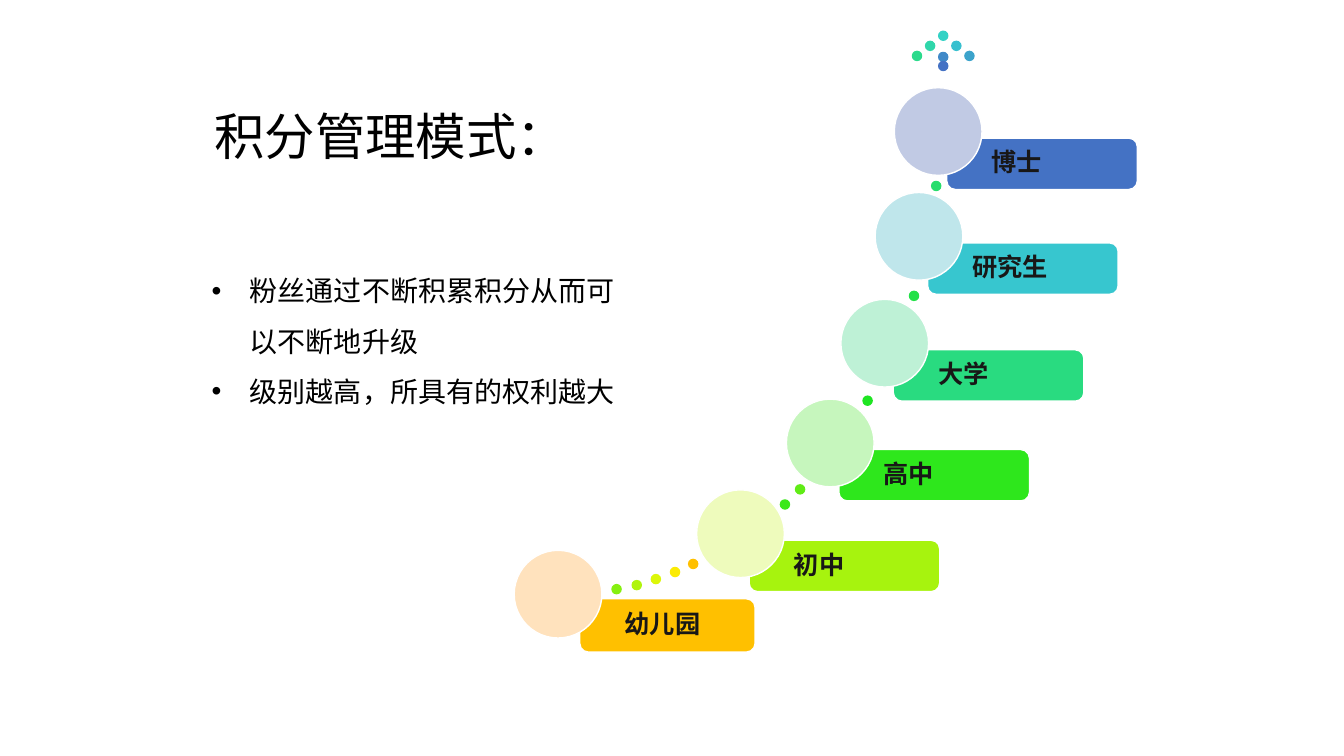
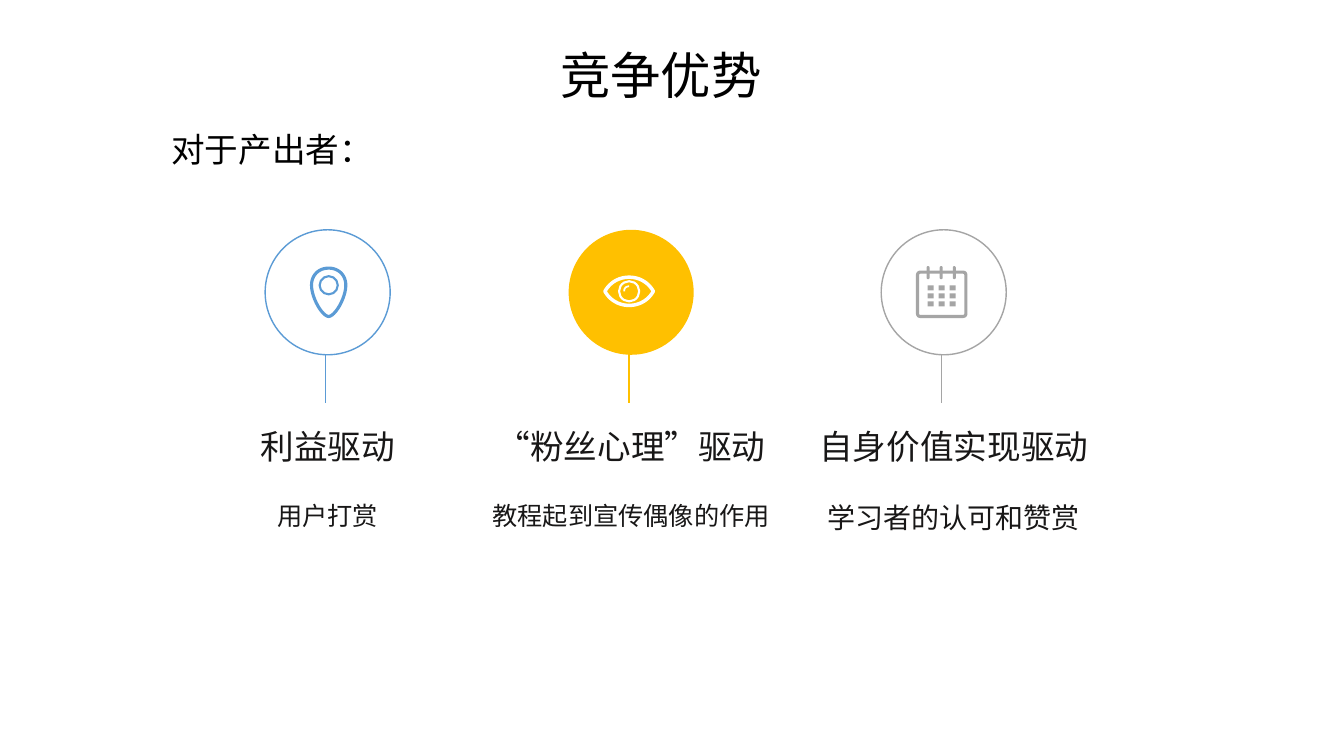
import pptx
import pptx.util
import pptx.dml.color
import pptx.enum.shapes
import pptx.enum.text
import pptx.oxml.ns
import lxml.etree

Inches = pptx.util.Inches
Pt = pptx.util.Pt
RGB = pptx.dml.color.RGBColor
SHAPE = pptx.enum.shapes.MSO_SHAPE
ALIGN = pptx.enum.text.PP_ALIGN
ANCHOR = pptx.enum.text.MSO_ANCHOR
qn = pptx.oxml.ns.qn

BLACK = RGB(0x00, 0x00, 0x00)
WHITE = RGB(0xFF, 0xFF, 0xFF)
INK = RGB(0x18, 0x17, 0x17)
BLUE = RGB(0x5B, 0x9B, 0xD5)
GOLD = RGB(0xFF, 0xC0, 0x00)
GRAY = RGB(0xA5, 0xA5, 0xA5)
CJK = "Noto Sans CJK SC"
LATIN = "Open Sans"


class Deck:
    """Hold the shared style and the current slide, and draw each kind of element."""

    def __init__(self):
        self.prs = pptx.Presentation()
        self.prs.slide_width = Inches(13.33)
        self.prs.slide_height = Inches(7.5)
        self.slide = None

    def new_slide(self):
        self.slide = self.prs.slides.add_slide(self.prs.slide_layouts[6])

    def run(self, paragraph, words, size, color, font=CJK, bold=False):
        run = paragraph.add_run()
        run.text = words
        run.font.size = Pt(size)
        run.font.bold = bold
        run.font.color.rgb = color
        run.font.name = font
        properties = run.font._element
        properties.set("lang", "zh-CN")
        east_asian = lxml.etree.Element(qn("a:ea"), typeface=CJK)
        properties.find(qn("a:latin")).addnext(east_asian)

    def text(self, at, lines, color=BLACK, font=CJK, align=ALIGN.LEFT,
             gap=0, bullets=False, wrap=True):
        frame = self.slide.shapes.add_textbox(*map(Inches, at)).text_frame
        frame.word_wrap = wrap
        for index, (words, size) in enumerate(lines):
            paragraph = frame.add_paragraph() if index else frame.paragraphs[0]
            paragraph.alignment = align
            if index and gap:
                paragraph.space_before = Pt(gap)
            if bullets:
                paragraph.line_spacing = 1.5
                self.bullet(paragraph)
            self.run(paragraph, words, size, color, font)

    def bullet(self, paragraph):
        properties = paragraph._p.get_or_add_pPr()
        properties.set("marL", str(Inches(0.38)))
        properties.set("indent", str(-Inches(0.38)))
        lxml.etree.SubElement(properties, qn("a:buFont"), typeface="Arial")
        lxml.etree.SubElement(properties, qn("a:buChar"), char="•")

    def title(self, at, words):
        self.text(at, [(words, 36)], align=ALIGN.CENTER)

    def paint(self, shape, fill, line, width):
        shape.shadow.inherit = False
        if fill is None:
            shape.fill.background()
        else:
            shape.fill.solid()
            shape.fill.fore_color.rgb = fill
        if line is None:
            shape.line.fill.background()
        else:
            shape.line.color.rgb = line
            shape.line.width = Pt(width)
        return shape

    def shape(self, kind, at, fill=None, line=None, width=1):
        shape = self.slide.shapes.add_shape(kind, *map(Inches, at))
        return self.paint(shape, fill, line, width)

    def bar(self, at, words, fill):
        bar = self.shape(SHAPE.ROUNDED_RECTANGLE, at, fill, WHITE)
        frame = bar.text_frame
        frame.margin_left = Inches(0.42)
        frame.margin_top = frame.margin_bottom = Inches(0.07)
        frame.vertical_anchor = ANCHOR.MIDDLE
        frame.paragraphs[0].alignment = ALIGN.LEFT
        frame.paragraphs[0].line_spacing = 0.9
        self.run(frame.paragraphs[0], words, 18, INK, bold=True)

    def stem(self, x, top, bottom, color):
        stem = self.slide.shapes.add_connector(
            pptx.enum.shapes.MSO_CONNECTOR.STRAIGHT,
            Inches(x), Inches(top), Inches(x), Inches(bottom))
        stem.line.color.rgb = color
        stem.line.width = Pt(1)
        lxml.etree.SubElement(stem._element.spPr, qn("a:effectLst"))

    def curve(self, start, bends, color, width, close=True, steps=12):
        points, origin = [], start
        for knots in bends:
            corners = (origin, *knots)
            for step in range(1, steps + 1):
                t = step / steps
                weights = ((1 - t) ** 3, 3 * t * (1 - t) ** 2, 3 * t * t * (1 - t), t ** 3)
                points.append(tuple(
                    Inches(sum(w * c[axis] for w, c in zip(weights, corners)))
                    for axis in (0, 1)))
            origin = knots[-1]
        builder = self.slide.shapes.build_freeform(Inches(start[0]), Inches(start[1]))
        builder.add_line_segments(points, close=close)
        self.paint(builder.convert_to_shape(), None, color, width)


def pin_icon(deck, x, color):
    def side(sign):
        return [(x + sign * dx, y) for dx, y in
                ((0, 3.14), (0.06, 3.14), (0.17, 2.96), (0.17, 2.83),
                 (0.17, 2.73), (0.1, 2.66), (0, 2.66))]

    right, left = side(1), side(-1)[::-1]
    deck.curve(right[0], [right[1:4], right[4:], left[1:4], left[4:]], color, 2.25)
    deck.shape(SHAPE.OVAL, (x - 0.09, 2.74, 0.18, 0.18), None, color, 1.5)


def eye_icon(deck, x, color):
    y = 2.89

    def lid(sign):
        return [[(x - sign * 0.19, y - sign * 0.09), (x - sign * 0.1, y - sign * 0.14),
                 (x, y - sign * 0.14)],
                [(x + sign * 0.1, y - sign * 0.14), (x + sign * 0.19, y - sign * 0.09),
                 (x + sign * 0.24, y)]]

    deck.curve((x - 0.24, y), lid(1) + lid(-1), color, 2.5)
    deck.shape(SHAPE.OVAL, (x - 0.1, y - 0.1, 0.2, 0.2), None, color, 1.5)
    deck.curve((x - 0.05, y), [[(x - 0.05, y - 0.03), (x - 0.03, y - 0.05), (x, y - 0.05)]],
               color, 1.25, close=False)


def calendar_icon(deck, x, color):
    page = deck.shape(SHAPE.ROUNDED_RECTANGLE, (x - 0.24, 2.7, 0.48, 0.44), None, color, 2.25)
    page.adjustments[0] = 0.06
    for column in (-1, 0, 1):
        ring = deck.shape(SHAPE.ROUNDED_RECTANGLE,
                          (x + 0.13 * column - 0.02, 2.64, 0.03, 0.13), color)
        ring.adjustments[0] = 0.5
        for row in range(3):
            deck.shape(SHAPE.RECTANGLE,
                       (x + 0.11 * column - 0.03, 2.83 + 0.08 * row, 0.06, 0.05), color)


def growth_slide(deck):
    deck.new_slide()
    deck.title((1.75, 0.99, 4.25, 0.71), "积分管理模式：")
    deck.text((2, 2.5, 4.36, 1.56),
              [("粉丝通过不断积累积分从而可以不断地升级", 20),
               ("级别越高，所具有的权利越大", 20)], font=LATIN, bullets=True)
    trail = [
        (6.83, 5.55, "FFC000"), (6.65, 5.63, "FBEB04"), (6.46, 5.7, "DCF709"),
        (6.27, 5.76, "B0F40D"), (6.07, 5.8, "86F011"), (7.89, 4.81, "60EC16"),
        (7.74, 4.96, "3CE81A"), (8.56, 3.93, "1EE522"), (9.02, 2.89, "23E148"),
        (9.24, 1.8, "27DD6C"), (9.05, 0.51, "2BDA8C"), (9.18, 0.41, "2FD6AA"),
        (9.31, 0.31, "33D2C5"), (9.44, 0.41, "38C0CF"), (9.57, 0.51, "3CA3CB"),
        (9.31, 0.52, "4089C8"), (9.31, 0.61, "4472C4")]
    for x, y, shade in trail:
        color = RGB.from_string(shade)
        deck.shape(SHAPE.OVAL, (x, y, 0.09, 0.09), color, color)
    first_bar, next_bar = (0.65, 0.48, 1.74, 0.53), (0.52, 0.5, 1.89, 0.51)
    levels = [
        ("幼儿园", 5.1, 5.46, "FFC000", "FFE2BD", first_bar),
        ("初中", 6.91, 4.86, "A7F30E", "EEFBBC", next_bar),
        ("高中", 7.8, 3.96, "2EE71C", "C6F6BD", next_bar),
        ("大学", 8.34, 2.97, "29DB80", "BEF1D6", next_bar),
        ("研究生", 8.68, 1.91, "37C6CF", "BFE6EB", next_bar),
        ("博士", 8.87, 0.87, "4472C4", "C1CAE4", next_bar)]
    for level, x, y, strong, pale, (dx, dy, width, height) in levels:
        deck.bar((x + dx, y + dy, width, height), level, RGB.from_string(strong))
        deck.shape(SHAPE.OVAL, (x, y, 0.87, 0.87), RGB.from_string(pale), WHITE)


def advantage_slide(deck):
    deck.new_slide()
    deck.title((3.87, 0.39, 5.37, 0.71), "竞争优势")
    drivers = [
        (3.25, BLUE, WHITE, BLUE, pin_icon, (1.9, 4.18, 2.7, 1.37),
         "利益驱动", "用户打赏", 18),
        (6.26, GOLD, GOLD, None, eye_icon, (4.77, 4.18, 2.98, 1.48),
         "“粉丝心理”驱动", "教程起到宣传偶像的作用", 18),
        (9.36, GRAY, WHITE, GRAY, calendar_icon, (7.98, 4.18, 2.96, 1.51),
         "自身价值实现驱动", "学习者的认可和赞赏", 20)]
    for x, color, fill, outline, icon, at, driver, effect, size in drivers:
        deck.text(at, [(driver, 24), (effect, size)], INK, LATIN, ALIGN.CENTER, gap=24)
        deck.stem(x - 0.02, 3, 4, color)
        deck.shape(SHAPE.OVAL, (x - 0.62, 2.28, 1.24, 1.24), fill, outline)
        icon(deck, x - 0.02 if icon is not pin_icon else x + 0.01,
             WHITE if fill == color else color)
    deck.text((1.6, 1.23, 2.31, 0.5), [("对于产出者：", 24)])


def main():
    deck = Deck()
    growth_slide(deck)
    advantage_slide(deck)
    deck.prs.save("out.pptx")


if __name__ == "__main__":
    main()
